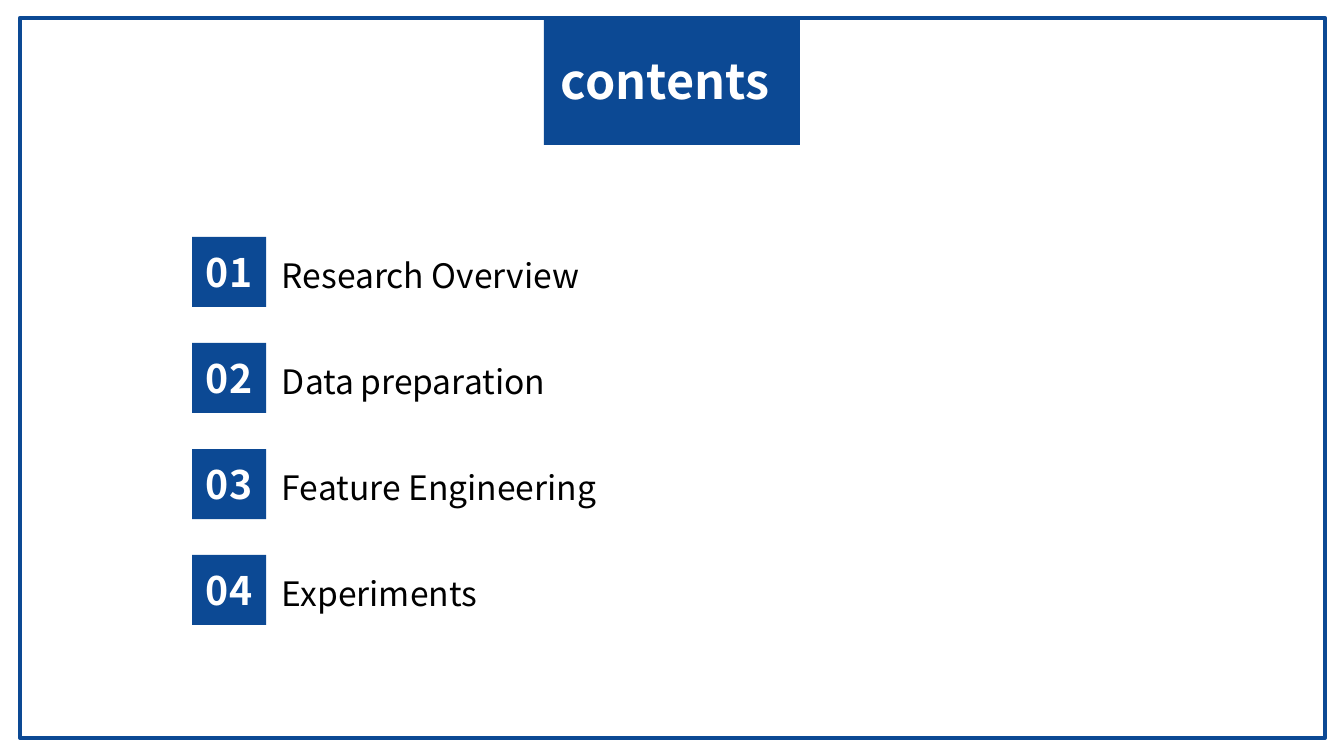
from pptx import Presentation
from pptx import util as u
from pptx.dml.color import RGBColor
from pptx.enum import shapes, text

PX = 914400 / 134.4
FONT = "Noto Sans CJK SC"
COLORS = {name: RGBColor.from_string(value) for name, value in {
    "blue": "0C4994", "white": "FFFFFF", "black": "000000"}.items()}

TOPICS = [
    [("Research Overview", 18)],
    [("Data", 18), (" ", 15), ("preparation", 18)],
    [("Feature Engineering", 18)],
    [("Experiments", 18)],
]
FIRST_TOP, PITCH = 237, 106


def box(*lengths):
    return [u.Emu(round(n * PX)) for n in lengths]


def write(sp, runs, color, bold=False, align=text.PP_ALIGN.LEFT,
          anchor=text.MSO_ANCHOR.TOP, fit=text.MSO_AUTO_SIZE.SHAPE_TO_FIT_TEXT):
    """Fill a shape with one paragraph of (wording, size) runs."""
    tf = sp.text_frame
    tf.word_wrap = True
    tf.auto_size = fit
    tf.vertical_anchor = anchor
    tf.margin_left, tf.margin_right, tf.margin_top, tf.margin_bottom = box(9, 9, 5, 5)
    p = tf.paragraphs[0]
    p.alignment = align
    for wording, size in runs:
        r = p.add_run()
        r.text = wording
        r.font.name = FONT
        r.font.size = u.Pt(size)
        r.font.bold = bold
        r.font.color.rgb = COLORS[color]


prs = Presentation()
prs.slide_width, prs.slide_height = box(1344, 756)
s = prs.slides.add_slide(prs.slide_layouts[5])

# Frame and title band
frame = s.shapes.add_shape(shapes.MSO_SHAPE.RECTANGLE, *box(20, 18, 1305, 720))
frame.shadow.inherit = False
frame.fill.background()
frame.line.color.rgb = COLORS["blue"]
frame.line.width = u.Pt(2.25)

band = s.shapes.add_shape(shapes.MSO_SHAPE.RECTANGLE, *box(544, 18, 256, 127))
band.shadow.inherit = False
band.fill.solid()
band.fill.fore_color.rgb = COLORS["blue"]
band.line.fill.background()

# Title, brought in front of the band
title = s.shapes.title
title.left, title.top, title.width, title.height = box(552, 46, 276, 128)
write(title, [("contents", 26)], "white", bold=True)
s.shapes.element.append(title.element)

# Numbered topics
for i, topic in enumerate(TOPICS):
    top = FIRST_TOP + i * PITCH
    label = s.shapes.add_textbox(*box(273, top + 13, 879, 51))
    write(label, topic, "black")

    badge = s.shapes.add_shape(shapes.MSO_SHAPE.ROUNDED_RECTANGLE, *box(192, top, 74, 70))
    badge.adjustments[0] = 0
    badge.shadow.inherit = False
    badge.fill.solid()
    badge.fill.fore_color.rgb = COLORS["blue"]
    badge.line.fill.background()
    write(badge, [(f"{i + 1:02}", 21)], "white", bold=True, align=text.PP_ALIGN.CENTER,
          anchor=text.MSO_ANCHOR.MIDDLE, fit=text.MSO_AUTO_SIZE.NONE)

prs.save("out.pptx")
